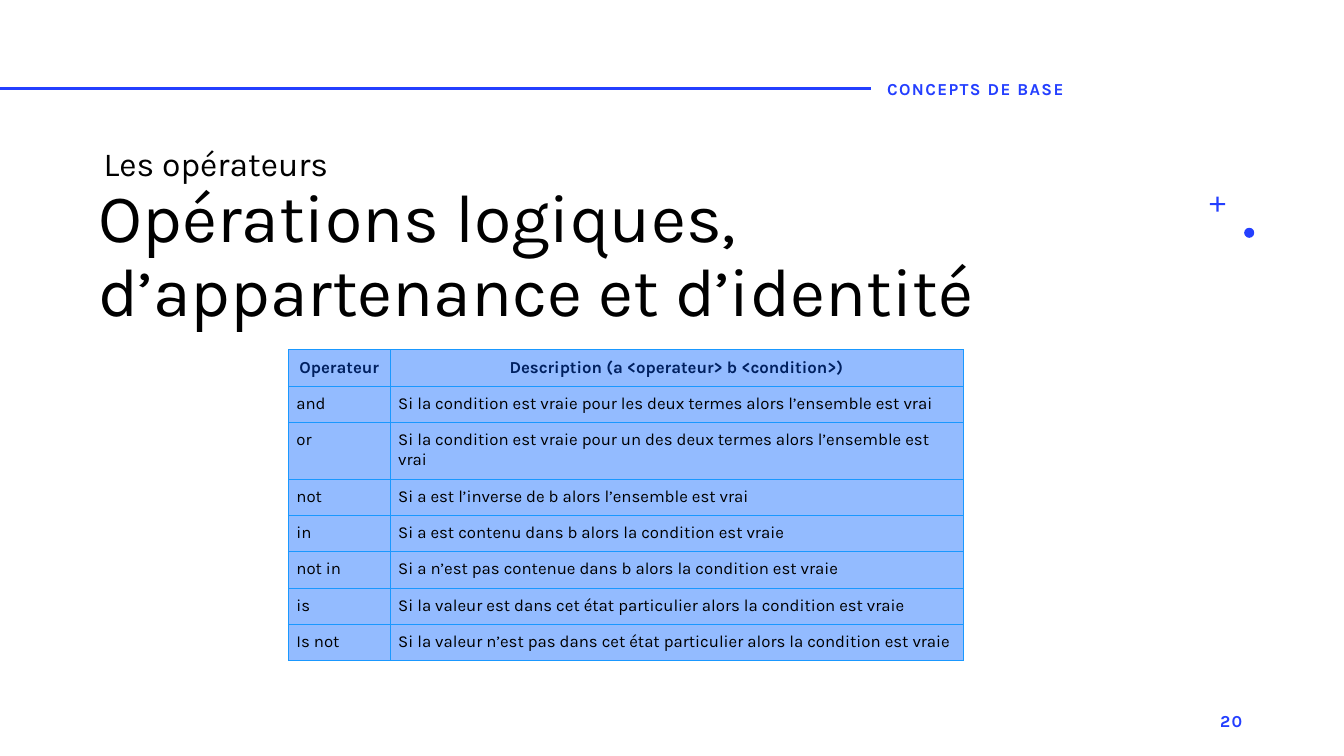
import pptx
import pptx.dml.color
import pptx.enum.shapes
import pptx.enum.text
import pptx.oxml
import pptx.oxml.ns
import pptx.util
from lxml import etree

Align = pptx.enum.text.PP_ALIGN
Anchor = pptx.enum.text.MSO_ANCHOR
Shape = pptx.enum.shapes.MSO_SHAPE
color = pptx.dml.color.RGBColor.from_string

THEME = {
    "font": "Karla",
    "accent": "243FFF", "ink": "000000", "header": "002060",
    "cell": "93BBFF", "border": "1A98FF",
    "title": 48.6, "subtitle": 24, "small": 12,
}

presentation = pptx.Presentation()
presentation.slide_width = pptx.util.Inches(13.33)
presentation.slide_height = pptx.util.Inches(7.5)
slide = presentation.slides.add_slide(presentation.slide_layouts[6])

# Grid: 75 rows over the slide's height, with square cells
UNIT = presentation.slide_height / 75


def grid(*cells):
    return [round(cell * UNIT) for cell in cells]


def write(frame, text, size="small", ink="ink", bold=False, align=Align.LEFT,
          anchor=Anchor.TOP, line_spacing=None, tracking=None):
    frame.word_wrap = True
    frame.vertical_anchor = anchor
    paragraph = frame.paragraphs[0]
    paragraph.alignment = align
    paragraph.line_spacing = line_spacing
    run = paragraph.add_run()
    run.text = text
    run.font.name = THEME["font"]
    run.font.size = pptx.util.Pt(THEME[size])
    run.font.bold = bold
    run.font.color.rgb = color(THEME[ink])
    if tracking:
        run.font._element.set("spc", str(tracking))


# Rule at the top
rule = slide.shapes.add_connector(
    pptx.enum.shapes.MSO_CONNECTOR.STRAIGHT, *grid(0, 8.8, 86.4, 8.8))
rule.line.color.rgb = color(THEME["accent"])
rule.line.width = pptx.util.Pt(2)
etree.SubElement(rule._element.spPr, pptx.oxml.ns.qn("a:effectLst"))

# Dot and plus ornaments
ornaments = [
    (Shape.OVAL, (123.4, 22.6, 1, 1)),
    (Shape.CROSS, (120, 19.5, 1.5, 1.5)),
]
for kind, place in ornaments:
    ornament = slide.shapes.add_shape(kind, *grid(*place))
    ornament.shadow.inherit = False
    ornament.fill.solid()
    ornament.fill.fore_color.rgb = color(THEME["accent"])
    ornament.line.fill.background()
    if kind == Shape.CROSS:
        ornament.adjustments[0] = 0.43

# Headings, section label and page number
heading = {"anchor": Anchor.BOTTOM, "line_spacing": 0.9}
label = {"anchor": Anchor.MIDDLE, "ink": "accent", "bold": True, "tracking": 100}
texts = [
    ("Opérations logiques, d’appartenance et d’identité",
     (8.8, 20.4, 110.5, 12.9), {"size": "title", **heading}),
    ("CONCEPTS DE BASE", (87, 6.8, 27.1, 4), label),
    ("20", (94.2, 69.5, 30, 4), {"align": Align.RIGHT, **label}),
    ("Les opérateurs", (9.3, 12.6, 63.6, 6.1), {"size": "subtitle", **heading}),
]
for text, place, style in texts:
    write(slide.shapes.add_textbox(*grid(*place)).text_frame, text, **style)

# Table of operators
rows = [
    ("Operateur", "Description (a <operateur> b <condition>)"),
    ("and", "Si la condition est vraie pour les deux termes alors l’ensemble est vrai"),
    ("or", "Si la condition est vraie pour un des deux termes alors l’ensemble est vrai"),
    ("not", "Si a est l’inverse de b alors l’ensemble est vrai"),
    ("in", "Si a est contenu dans b alors la condition est vraie"),
    ("not in", "Si a n’est pas contenue dans b alors la condition est vraie"),
    ("is", "Si la valeur est dans cet état particulier alors la condition est vraie"),
    ("Is not", "Si la valeur n’est pas dans cet état particulier alors la condition est vraie"),
]
column_widths = (10.1, 56.8)
row_height, wrapped_height = 3.58, 5.5
table = slide.shapes.add_table(
    len(rows), len(column_widths),
    *grid(28.6, 34.7, sum(column_widths), 7 * row_height + wrapped_height)).table
table.first_row = table.horz_banding = False
for column, width in zip(table.columns, grid(*column_widths)):
    column.width = width

margin, = grid(0.8)
for row_index, texts_in_row in enumerate(rows):
    is_wrapped = texts_in_row[0] == "or"
    table.rows[row_index].height, = grid(wrapped_height if is_wrapped else row_height)
    for column_index, text in enumerate(texts_in_row):
        cell = table.cell(row_index, column_index)
        cell.margin_left = cell.margin_right = margin
        cell.margin_top = cell.margin_bottom = margin
        properties = cell._tc.get_or_add_tcPr()
        for side in "LRTB":
            properties.append(pptx.oxml.parse_xml(
                f'<a:ln{side} {pptx.oxml.ns.nsdecls("a")} w="{pptx.util.Pt(0.5)}">'
                f'<a:solidFill><a:srgbClr val="{THEME["border"]}"/></a:solidFill>'
                f'</a:ln{side}>'))
        cell.fill.solid()
        cell.fill.fore_color.rgb = color(THEME["cell"])
        if row_index == 0:
            write(cell.text_frame, text, ink="header", bold=True, align=Align.CENTER)
        else:
            write(cell.text_frame, text)

presentation.save("out.pptx")
